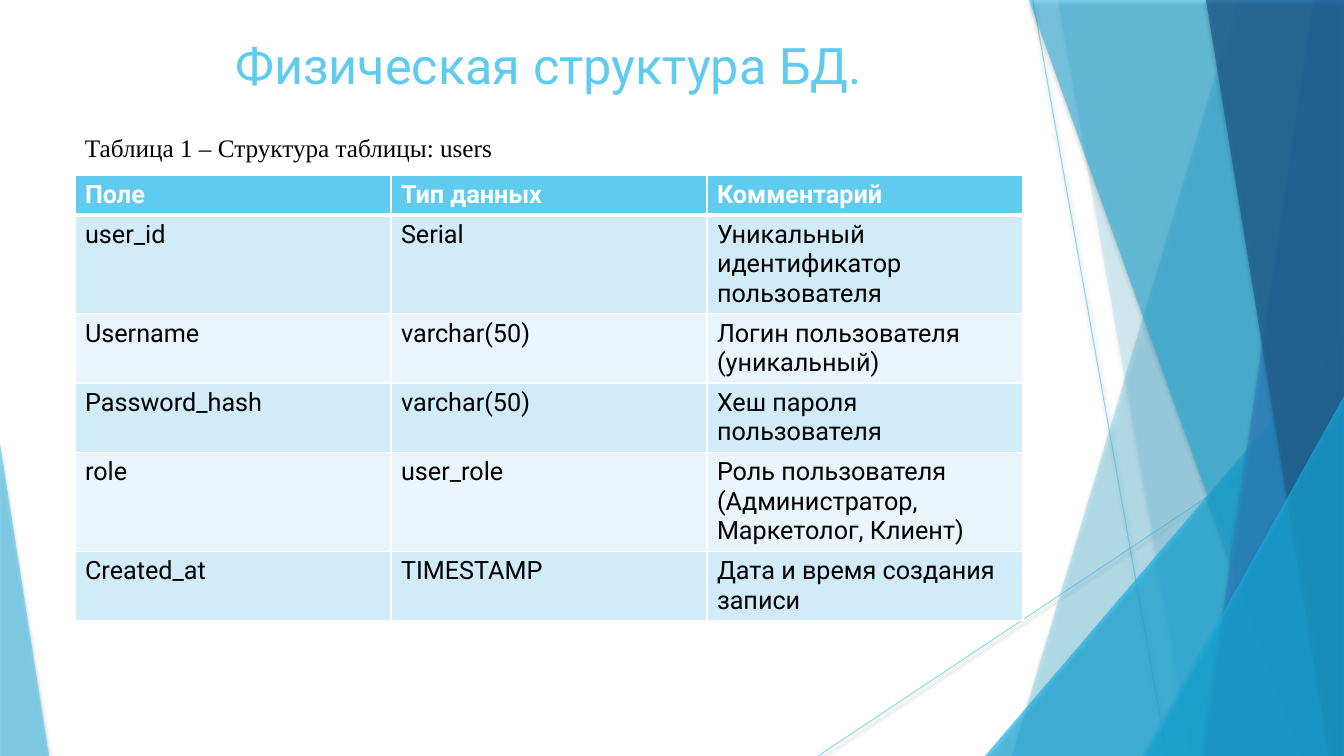
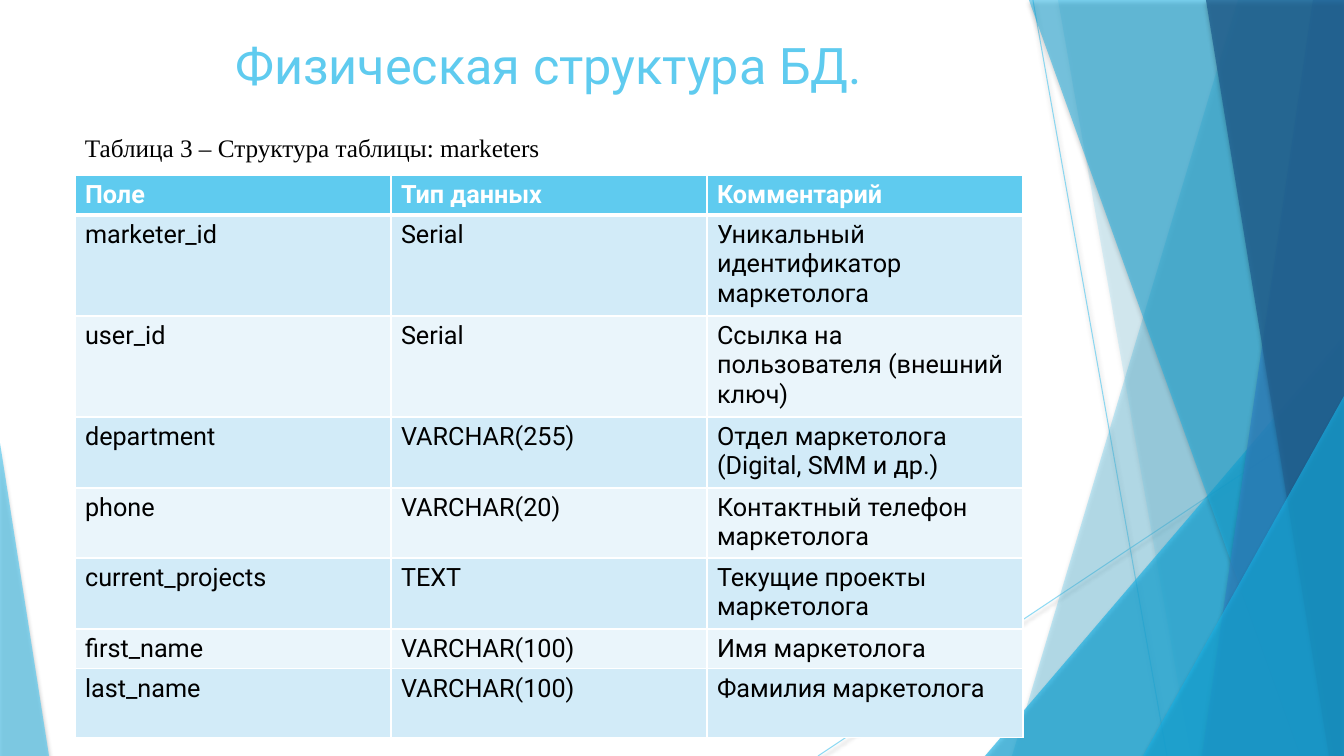
import pptx
import pptx.dml.color
import pptx.enum.shapes
import pptx.enum.text
import pptx.oxml
import pptx.oxml.ns
import pptx.util

SLIDE_W, SLIDE_H = 1344, 756
PX = 12192000 / SLIDE_W
LEFT, COL_W = 75, 316

SKY, CYAN, BLUE, NAVY = "5FCBEF", "17B0E4", "2E83C3", "226292"
WHITE, BLACK = "FFFFFF", "000000"
ROW_FILLS = ("EAF5FB", "D2EBF8")
FONT, CAPTION_FONT = "Roboto", "Times New Roman"
NS = pptx.oxml.ns.nsdecls("a")


def px(n):
    return pptx.util.Emu(round(n * PX))


def rgb(value):
    return pptx.dml.color.RGBColor.from_string(value)


def set_alpha(shape_properties, percent):
    """Make the first solid colour in the properties partly transparent."""
    colour = shape_properties.find(".//" + pptx.oxml.ns.qn("a:srgbClr"))
    colour.append(pptx.oxml.parse_xml(f'<a:alpha {NS} val="{percent * 1000}"/>'))


def add_shadow(shape, percent):
    shape.element.spPr.append(pptx.oxml.parse_xml(
        f'<a:effectLst {NS}><a:outerShdw blurRad="38100" dist="25400" dir="5400000" '
        f'rotWithShape="0"><a:srgbClr val="{BLACK}"><a:alpha val="{percent * 1000}"/>'
        f'</a:srgbClr></a:outerShdw></a:effectLst>'))


def add_borders(cell, top, bottom):
    """Draw white cell borders; top and bottom are widths in points."""
    for side, width in (("L", 1), ("R", 1), ("T", top), ("B", bottom)):
        cell._tc.get_or_add_tcPr().append(pptx.oxml.parse_xml(
            f'<a:ln{side} {NS} w="{int(pptx.util.Pt(width))}"><a:solidFill>'
            f'<a:srgbClr val="{WHITE}"/></a:solidFill></a:ln{side}>'))


class Deck:
    """Holds the presentation, its style and the current slide."""

    def __init__(self):
        self.prs = pptx.Presentation()
        self.prs.slide_width, self.prs.slide_height = px(SLIDE_W), px(SLIDE_H)
        self.layout = self.prs.slide_layouts[5]
        self.s = None

    def new_slide(self, title):
        first = self.s is None
        self.s = self.prs.slides.add_slide(self.layout)
        if first:
            self.facets()
        sp = self.s.shapes.title
        sp.left, sp.top, sp.width, sp.height = px(LEFT), px(29), px(3 * COL_W), px(145)
        tf = sp.text_frame
        tf.vertical_anchor = pptx.enum.text.MSO_ANCHOR.TOP
        tf.auto_size = pptx.enum.text.MSO_AUTO_SIZE.NONE
        self.put_text(tf, title, 36, SKY)
        tf.paragraphs[0].alignment = pptx.enum.text.PP_ALIGN.CENTER

    def put_text(self, tf, text, size, colour, font=FONT, bold=False):
        tf.text = text
        for r in tf.paragraphs[0].runs:
            r.font.name, r.font.size, r.font.bold = font, pptx.util.Pt(size), bold
            r.font.color.rgb = rgb(colour)

    def to_layout(self, shape, shadow):
        """Shadow a decoration and move it to the layout shared by all slides."""
        add_shadow(shape, shadow)
        self.layout.shapes.element.append(shape.element)

    def thin_line(self, x1, y1, x2, y2):
        line = self.s.shapes.add_connector(
            pptx.enum.shapes.MSO_CONNECTOR.STRAIGHT, px(x1), px(y1), px(x2), px(y2))
        line.line.width = pptx.util.Pt(0.75)
        line.line.color.rgb = rgb(SKY)
        set_alpha(line.element.spPr, 70)
        self.to_layout(line, 38)

    def facet(self, shape, colour, alpha):
        shape.fill.solid()
        shape.fill.fore_color.rgb = rgb(colour)
        set_alpha(shape.element.spPr, alpha)
        shape.line.fill.background()
        self.to_layout(shape, 35)

    def band(self, top_x, bottom_x, colour, alpha):
        """Fill from a slanted edge to the right side of the slide."""
        outline = self.s.shapes.build_freeform(top_x, 0, scale=PX)
        outline.add_line_segments([(SLIDE_W, 0), (SLIDE_W, SLIDE_H), (bottom_x, SLIDE_H)])
        self.facet(outline.convert_to_shape(), colour, alpha)

    def corner(self, x, y, width, apex, colour, alpha):
        """Add a triangle that stands on the bottom edge of the slide."""
        sp = self.s.shapes.add_shape(
            pptx.enum.shapes.MSO_SHAPE.ISOSCELES_TRIANGLE,
            px(x), px(y), px(width), px(SLIDE_H - y))
        sp.adjustments[0] = apex
        self.facet(sp, colour, alpha)

    def facets(self):
        self.thin_line(1033, 0, 1167, SLIDE_H)
        self.thin_line(SLIDE_W, 406, 818, SLIDE_H)
        self.band(1238, 1012, SKY, 36)
        self.band(1058, 1191, SKY, 20)
        self.corner(985, 336, 359, 1, CYAN, 66)
        self.band(1029, 1301, CYAN, 50)
        self.band(1313, 1202, BLUE, 70)
        self.band(1206, 1329, NAVY, 80)
        self.corner(1143, 396, 201, 1, CYAN, 66)
        self.corner(0, 443, 49, 0, SKY, 70)
        for i, el in enumerate(self.layout.shapes.element.xpath(".//p:cNvPr"), 1):
            el.set("id", str(i))

    def caption(self, text):
        sp = self.s.shapes.add_textbox(px(LEFT), px(127), px(672), px(40))
        sp.text_frame.word_wrap = True
        self.put_text(sp.text_frame, text, 18, BLACK, CAPTION_FONT)

    def table(self, rows, heights):
        rows = [("Поле", "Тип данных", "Комментарий")] + rows
        table = self.s.shapes.add_table(
            len(rows), 3, px(LEFT), px(175), px(3 * COL_W), px(sum(heights))).table
        table.horz_banding = False
        for col in table.columns:
            col.width = px(COL_W)
        for i, (row, height) in enumerate(zip(rows, heights)):
            table.rows[i].height = px(height)
            header = i == 0
            for j, text in enumerate(row):
                cell = table.cell(i, j)
                add_borders(cell, 3 if i == 1 else 1, 3 if header else 1)
                cell.fill.solid()
                cell.fill.fore_color.rgb = rgb(SKY if header else ROW_FILLS[i % 2])
                self.put_text(cell.text_frame, text, 18, WHITE if header else BLACK, bold=header)


TABLES = [
    ("Таблица 1 – Структура таблицы: users", [
        ("user_id", "Serial", "Уникальный идентификатор пользователя"),
        ("Username", "varchar(50)", "Логин пользователя (уникальный)"),
        ("Password_hash", "varchar(50)", "Хеш пароля пользователя"),
        ("role", "user_role", "Роль пользователя (Администратор, Маркетолог, Клиент)"),
        ("Created_at", "TIMESTAMP", "Дата и время создания записи"),
    ], [39, 99, 69, 69, 99, 69]),
    ("Таблица 3 – Структура таблицы: marketers", [
        ("marketer_id", "Serial", "Уникальный идентификатор маркетолога"),
        ("user_id", "Serial", "Ссылка на пользователя (внешний ключ)"),
        ("department", "VARCHAR(255)", "Отдел маркетолога (Digital, SMM и др.)"),
        ("phone", "VARCHAR(20)", "Контактный телефон маркетолога"),
        ("current_projects", "TEXT", "Текущие проекты маркетолога"),
        ("first_name", "VARCHAR(100)", "Имя маркетолога"),
        ("last_name", "VARCHAR(100)", "Фамилия маркетолога"),
    ], [40, 101, 101, 71, 70, 71, 40, 69]),
]


def main():
    deck = Deck()
    for caption, rows, heights in TABLES:
        deck.new_slide("Физическая структура БД.")
        deck.table(rows, heights)
        deck.caption(caption)
    deck.prs.save("out.pptx")


if __name__ == "__main__":
    main()
